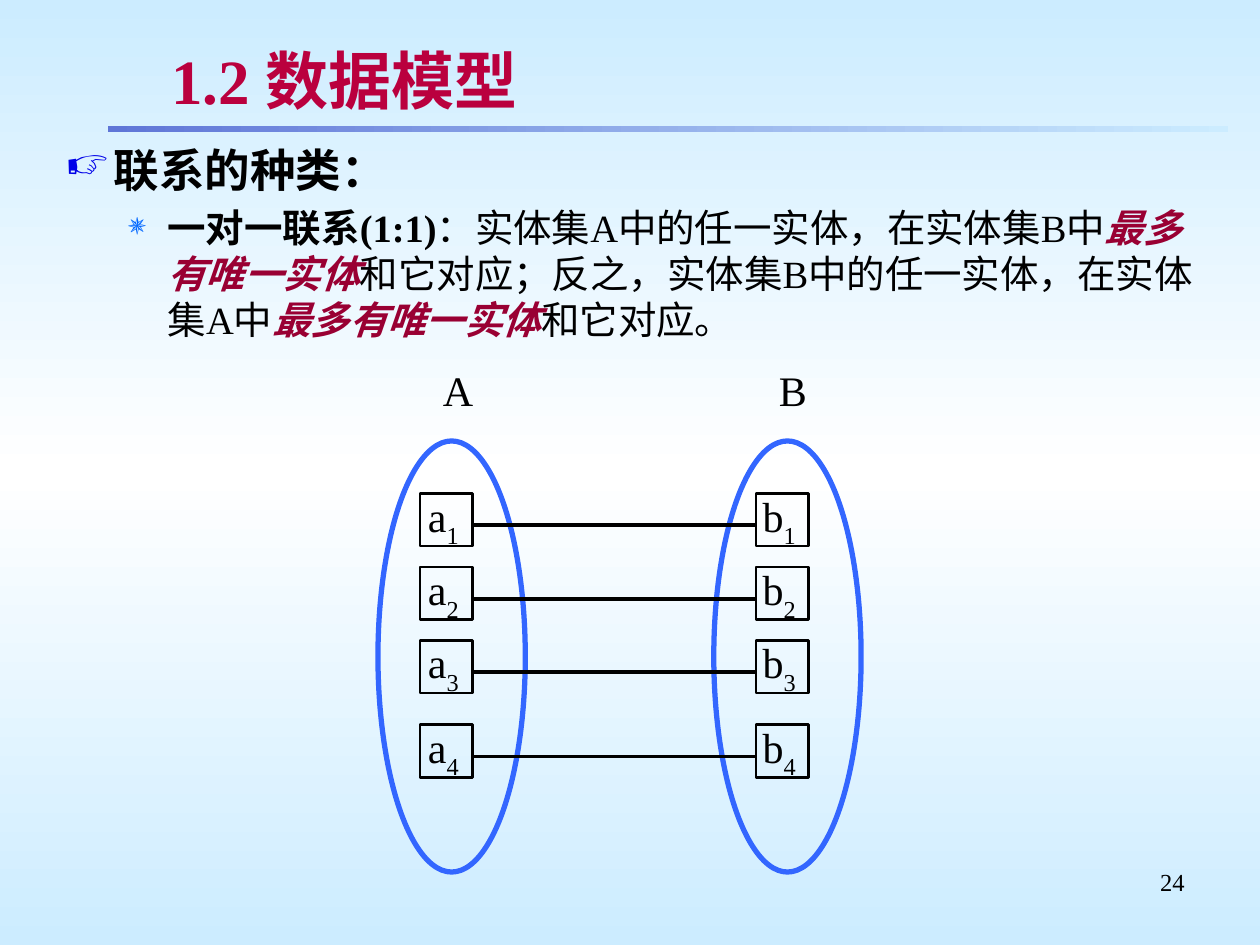
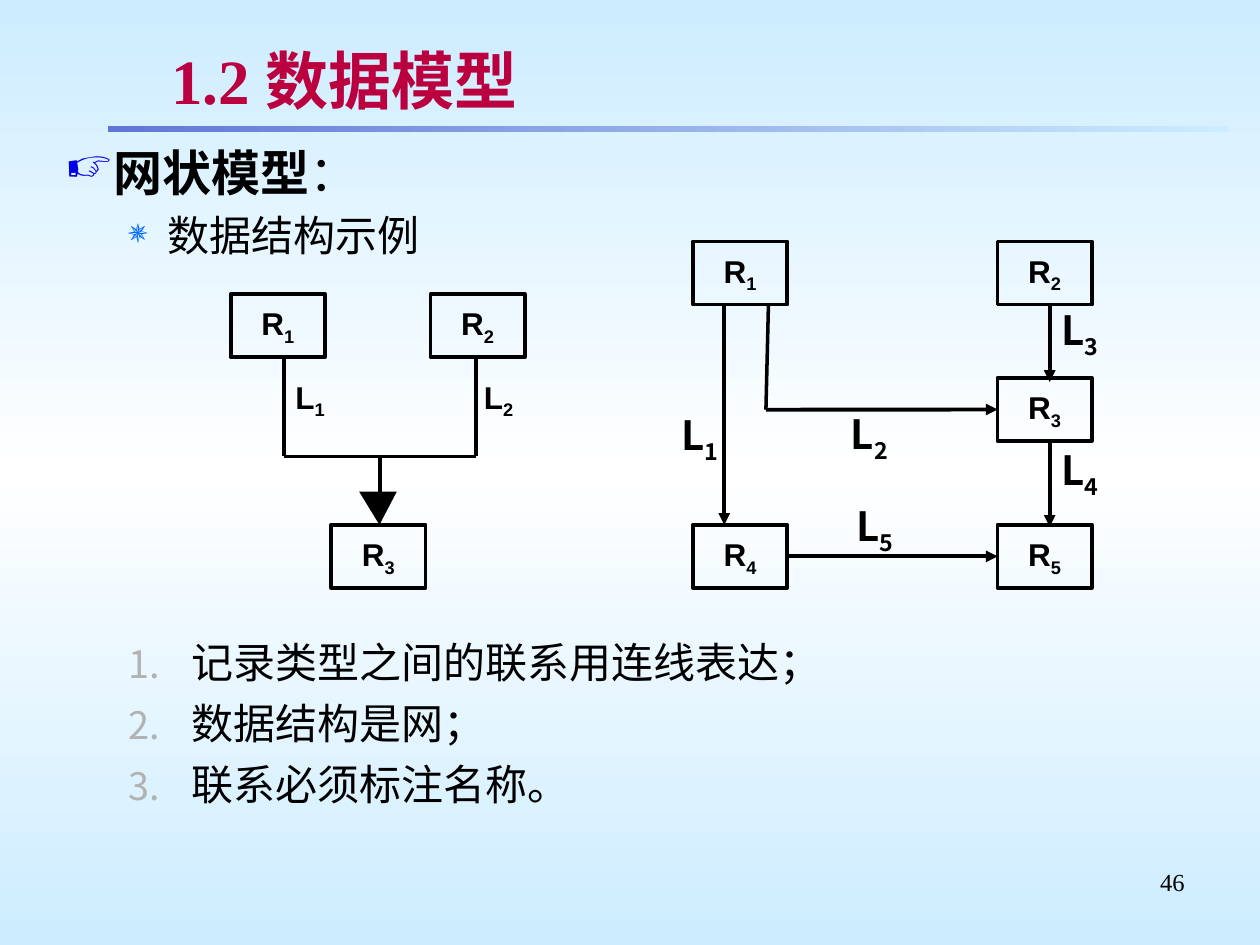
from copy import deepcopy
from dataclasses import dataclass

from lxml.etree import SubElement
from pptx import Presentation
from pptx.dml.color import RGBColor as Color
from pptx.enum.shapes import MSO_CONNECTOR as Link, MSO_SHAPE as Shape
from pptx.enum.text import MSO_ANCHOR as Anchor, PP_ALIGN as Align
from pptx.oxml.ns import qn
from pptx.util import Cm, Pt


@dataclass(frozen=True)
class Theme:
    """Colours, fonts and type sizes shared by the slides."""
    sky: str = "CCECFF"
    white: str = "FFFFFF"
    band: str = "5F76D7"
    ink: str = "000000"
    title: str = "BA003E"
    stress: str = "990033"
    oval: str = "3366FF"
    hand: str = "0000E8"
    star: str = "0066FF"
    number: str = "B2B2B2"
    shade: str = "B2B2B2"
    serif: str = "Times New Roman"
    sans: str = "Arial"
    chinese: str = "Noto Sans CJK SC"
    title_size: int = 36
    body_size: int = 24
    link_size: int = 23
    record_size: int = 18
    page_size: int = 14


THEME = Theme()
RECORD_WIDTH, RECORD_HEIGHT = 1.9, 1.27


def write(para, text, *, size=THEME.body_size, font=THEME.serif, color=THEME.ink,
          bold=False, italic=False, base=0, shadow=False):
    """Add one formatted span to a paragraph."""
    span = para.add_run()
    span.text = text
    span.font.size, span.font.name = Pt(size), font
    span.font.bold, span.font.italic = bold, italic
    span.font.color.rgb = Color.from_string(color)
    props = span.font._element
    SubElement(props, qn("a:ea")).set("typeface", THEME.chinese)
    if base:
        props.set("baseline", str(base * 1000))
    if shadow:
        effects = SubElement(props, qn("a:effectLst"))
        outer = SubElement(effects, qn("a:outerShdw"), dist="28575", dir="2700000")
        SubElement(outer, qn("a:srgbClr"), val=THEME.shade)
        props.find(qn("a:latin")).addprevious(effects)


def set_bullet(para, color, percent, left, hang, char=None):
    """Give a paragraph a character bullet, or a number when none is named."""
    props = para._p.get_or_add_pPr()
    props.set("marL", str(Cm(left)))
    props.set("indent", str(Cm(-hang)))
    SubElement(SubElement(props, qn("a:buClr")), qn("a:srgbClr"), val=color)
    SubElement(props, qn("a:buSzPct"), val=str(percent * 1000))
    if char:
        SubElement(props, qn("a:buChar"), char=char)
    else:
        SubElement(props, qn("a:buAutoNum"), type="arabicPeriod")


def set_frame(box, *, anchor=Anchor.TOP, wrap=True, inset=(0.25, 0.13)):
    """Prepare the text frame of a box and return its first paragraph."""
    frame = box.text_frame
    frame.word_wrap, frame.vertical_anchor = wrap, anchor
    frame.margin_left = frame.margin_right = Cm(inset[0])
    frame.margin_top = frame.margin_bottom = Cm(inset[1])
    return frame.paragraphs[0]


def add_text_box(page, left, top, width, height, **frame):
    """Add a text box and return it with its first paragraph."""
    box = page.shapes.add_textbox(Cm(left), Cm(top), Cm(width), Cm(height))
    return box, set_frame(box, **frame)


def add_outline(page, kind, left, top, width, height, color, weight):
    """Add an unfilled preset shape."""
    box = page.shapes.add_shape(kind, Cm(left), Cm(top), Cm(width), Cm(height))
    box.shadow.inherit = False
    box.fill.background()
    box.line.color.rgb = Color.from_string(color)
    box.line.width = Pt(weight)
    return box


def write_indexed(box, letter, index, base, **style):
    """Centre a letter with a subscript in a box."""
    para = set_frame(box, anchor=Anchor.MIDDLE, wrap=False)
    para.alignment = Align.CENTER
    write(para, letter, **style)
    write(para, index, base=base, **style)


def add_record(page, name, left, top):
    """Add a record type box such as R1."""
    box = add_outline(page, Shape.RECTANGLE, left, top, RECORD_WIDTH, RECORD_HEIGHT,
                      THEME.ink, 2.25)
    write_indexed(box, name[0], name[1], -25, size=THEME.record_size,
                  font=THEME.sans, bold=True)
    return box


def add_wire(page, start, end, weight=2.25, arrow=False):
    """Draw a straight line, with an arrowhead if asked."""
    wire = page.shapes.add_connector(Link.STRAIGHT, *map(Cm, start + end))
    wire.line.color.rgb = Color.from_string(THEME.ink)
    wire.line.width = Pt(weight)
    if arrow:
        SubElement(wire.line._get_or_add_ln(), qn("a:tailEnd"), type="triangle")
    SubElement(wire.element.spPr, qn("a:effectLst"))
    return wire


def paint_gradient(fill, owner, angle, colors):
    """Fill with evenly spaced gradient stops."""
    fill.gradient()
    fill.gradient_angle = angle
    stops = next(owner.element.iter(qn("a:gsLst")))
    while len(stops) < len(colors):
        stops.append(deepcopy(stops[-1]))
    for index, (stop, color) in enumerate(zip(fill.gradient_stops, colors)):
        stop.color.rgb = Color.from_string(color)
        stop.position = index / (len(colors) - 1)


def add_page(deck, number):
    """Add a page with background, band, title and page number."""
    page = deck.slides.add_slide(deck.slide_layouts[6])
    paint_gradient(page.background.fill, page, 90,
                   (THEME.sky, THEME.white, THEME.sky))
    band = page.shapes.add_shape(Shape.RECTANGLE, Cm(2.18), Cm(2.54), Cm(22.58), Cm(0.13))
    band.shadow.inherit = False
    band.line.fill.background()
    paint_gradient(band.fill, band, 0, (THEME.band, THEME.sky))
    _, para = add_text_box(page, 18.21, 17.35, 5.92, 1.32)
    para.alignment = Align.RIGHT
    write(para, number, size=THEME.page_size)
    _, para = add_text_box(page, 3.2, 0.74, 20.93, 1.7, anchor=Anchor.MIDDLE,
                           inset=(0.25, 0.1))
    write(para, "1.2 数据模型", size=THEME.title_size, color=THEME.title,
          bold=True, shadow=True)
    return page


def add_body(page, width, height, heading, detail, sizes, space):
    """Add a heading and a detail point, each a list of text and format pairs."""
    box, first = add_text_box(page, 1.07, 2.74, width, height)
    second = box.text_frame.add_paragraph()
    second.level = 1
    set_bullet(first, THEME.hand, 95, 0.97, 0.97, "☞")
    set_bullet(second, THEME.star, 80, 2.06, 0.79, "✵")
    second.space_before = Pt(space)
    for para, spans, size in zip((first, second), (heading, detail), sizes):
        for text, style in spans:
            write(para, text, size=size, **style)


def add_entity_set(page, name, left):
    """Draw an entity set: oval, name and numbered members."""
    add_outline(page, Shape.OVAL, left, 8.89, 2.97, 8.69, THEME.oval, 3)
    for index, top in enumerate(MEMBER_TOPS, 1):
        box = add_outline(page, Shape.RECTANGLE, left + 0.85, top, 1.06, 1.06,
                          THEME.ink, 1.5)
        write_indexed(box, name.lower(), f"{index} ", -30)
    _, para = add_text_box(page, left + 1.06, 7.83, 1.06, 1.06,
                           anchor=Anchor.MIDDLE, wrap=False)
    para.alignment = Align.CENTER
    write(para, name + " ")


MEMBER_TOPS = (9.95, 11.43, 12.91, 14.61)


def build_one_to_one(deck):
    """Build the page on one-to-one relationships."""
    page = add_page(deck, "24")
    bold = {"bold": True}
    stress = {"bold": True, "italic": True, "color": THEME.stress}
    detail = [
        ("一对一联系(1:1)", bold),
        ("：实体集A中的任一实体，在实体集B中", {}),
        ("最多有唯一实体", stress),
        ("和它对应；反之，实体集B中的任一实体，在实体集A中", {}),
        ("最多有唯一实体", stress),
        ("和它对应。", {}),
    ]
    add_body(page, 23.5, 5.44, [("联系的种类：", bold)], detail, (26, 22), 4.1)
    for name, left in (("A", 7.62), ("B", 14.39)):
        add_entity_set(page, name, left)
    for top in MEMBER_TOPS:
        add_wire(page, (9.53, top + 0.64), (15.24, top + 0.64))


def draw_small_network(page):
    """Draw two owner records that share one member record."""
    for start, end in (((5.72, 7.2), (5.72, 9.2)), ((9.6, 7.2), (9.6, 9.2)),
                       ((5.72, 9.2), (9.6, 9.2)), ((7.66, 9.2), (7.66, 10.03))):
        add_wire(page, start, end, 2)
    outline = page.shapes.build_freeform(Cm(7.24), Cm(9.91))
    outline.add_line_segments([(Cm(7.65), Cm(10.58)), (Cm(8), Cm(9.91))])
    head = outline.convert_to_shape()
    head.shadow.inherit = False
    head.fill.solid()
    head.fill.fore_color.rgb = Color.from_string(THEME.ink)
    head.line.fill.background()
    for name, left, top in (("R1", 4.65, 5.93), ("R2", 8.68, 5.93), ("R3", 6.68, 10.58)):
        add_record(page, name, left, top)
    for name, left in (("L1", 5.51), ("L2", 9.31)):
        box, _ = add_text_box(page, left, 7.41, 1.48, 1.27)
        write_indexed(box, name[0], name[1], -25, size=THEME.record_size,
                      font=THEME.sans, bold=True)


def draw_large_network(page):
    """Draw five record types joined by five named links."""
    near, far = 13.97, 20.11
    places = {"R1": (near, 4.87), "R2": (far, 4.87), "R3": (far, 7.62),
              "R4": (near, 10.58), "R5": (far, 10.58)}
    records = {name: add_record(page, name, *place) for name, place in places.items()}
    for start, end in (((14.6, 6.15), (14.6, 10.58)), ((21.16, 6.15), (21.16, 7.7)),
                       ((21.16, 8.92), (21.16, 10.62))):
        add_wire(page, start, end, arrow=True)
    corner = (15.44, 8.26)
    add_wire(page, (15.49, 6.17), corner, 2)
    add_wire(page, corner, (far, 8.26), arrow=True).end_connect(records["R3"], 1)
    across = add_wire(page, (near + RECORD_WIDTH, 11.22), (far, 11.22), arrow=True)
    across.begin_connect(records["R4"], 3)
    across.end_connect(records["R5"], 1)
    for name, left, top in (("L1", 13.74, 8.28), ("L2", 17.15, 8.26), ("L3", 21.39, 6.15),
                            ("L4", 21.39, 8.97), ("L5", 17.27, 10.11)):
        _, para = add_text_box(page, left, top, 1.3, 1.12, inset=(0, 0))
        for letter, base in zip(name, (0, -25)):
            write(para, letter, size=THEME.link_size, font=THEME.chinese,
                  bold=True, base=base)


def add_numbered_list(page, lines):
    """Add the numbered remarks under the diagrams."""
    box, para = add_text_box(page, 1.07, 12.7, 22.86, 3.81)
    for index, line in enumerate(lines):
        if index:
            para = box.text_frame.add_paragraph()
        para.level = 1
        set_bullet(para, THEME.number, 90, 2.54, 1.27)
        if index:
            para.space_before = Pt(6)
        write(para, line, font=THEME.sans)


def build_network_model(deck):
    """Build the page on the network model."""
    page = add_page(deck, "46")
    add_body(page, 11.76, 3.05, [("网状模型", {"bold": True}), ("：", {})],
             [("数据结构示例", {})], (28, 24), 4.5)
    draw_small_network(page)
    draw_large_network(page)
    add_numbered_list(page, ("记录类型之间的联系用连线表达；", "数据结构是网；",
                             "联系必须标注名称。"))


def main():
    """Build and save the deck."""
    deck = Presentation()
    deck.slide_width, deck.slide_height = Cm(25.4), Cm(19.05)
    build_one_to_one(deck)
    build_network_model(deck)
    deck.save("out.pptx")


if __name__ == "__main__":
    main()
